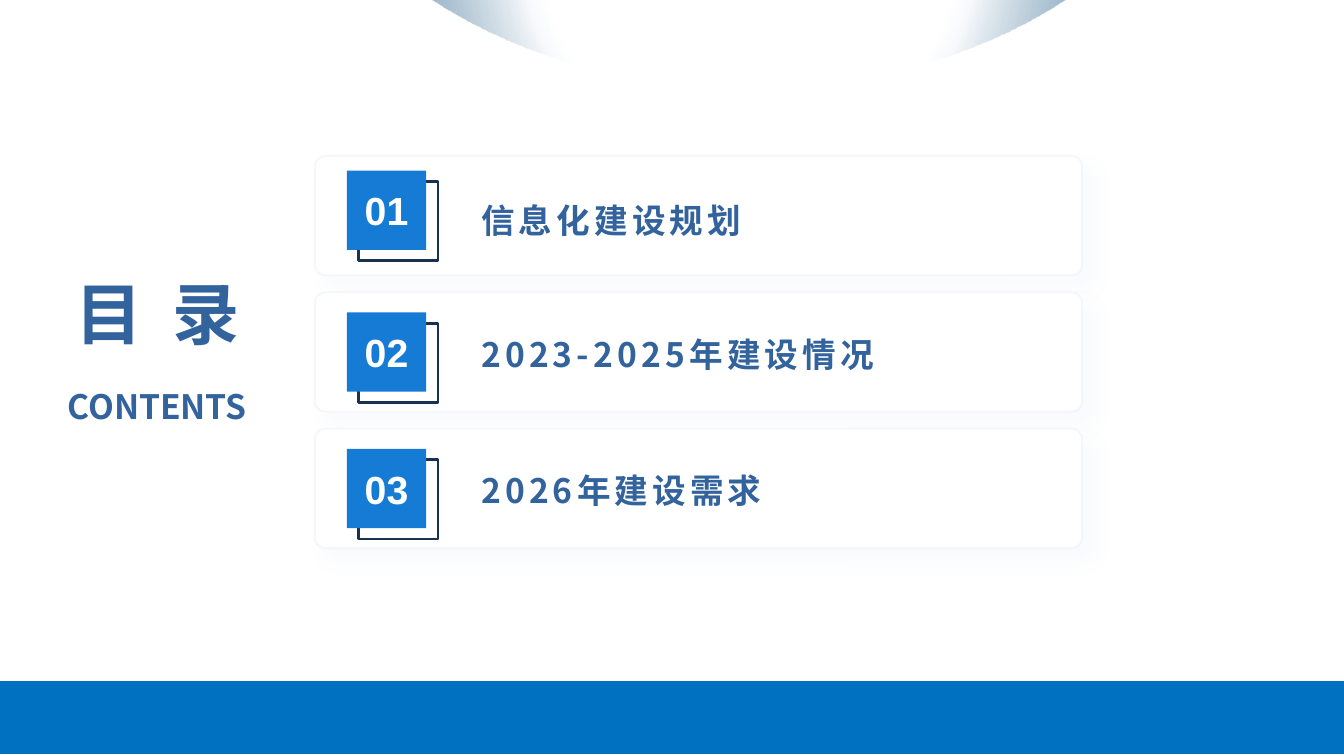
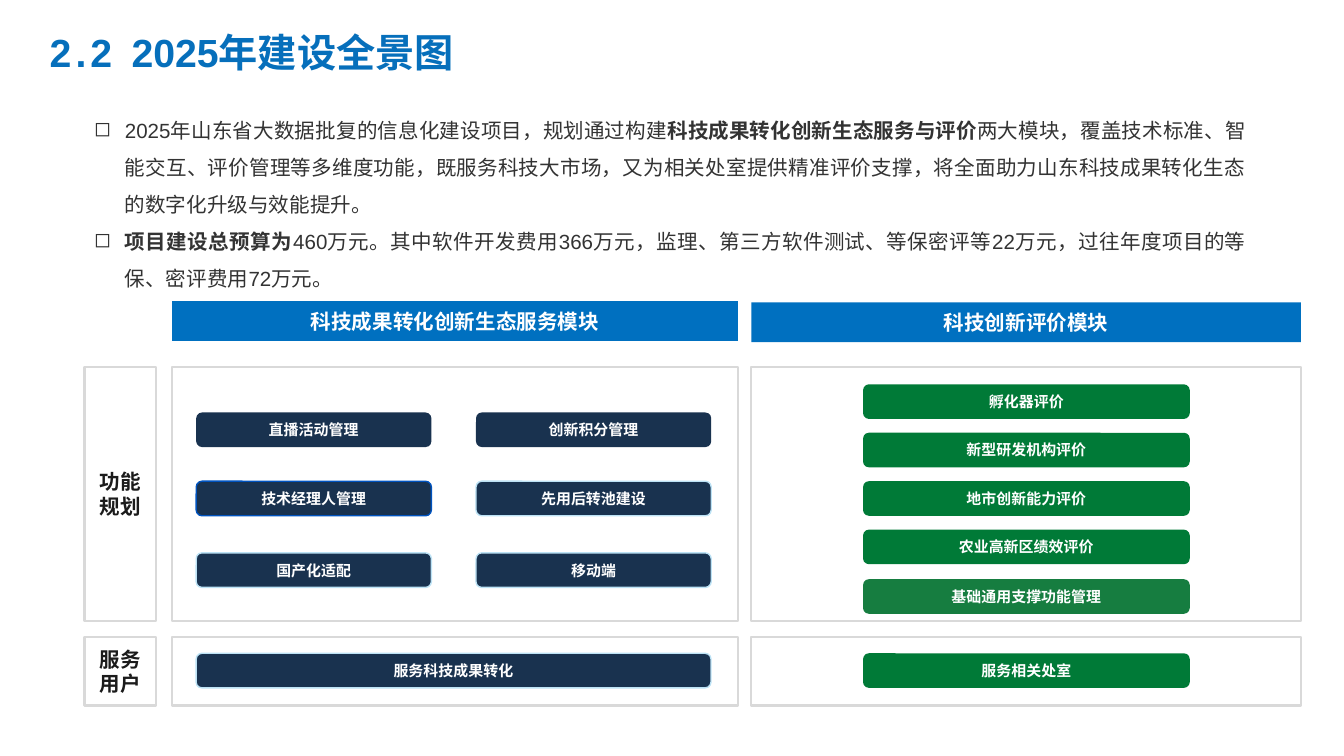
from lxml import etree
from pptx import Presentation
from pptx.dml.color import RGBColor
from pptx.enum.shapes import MSO_SHAPE as Preset
from pptx.enum.text import MSO_ANCHOR as Anchor, MSO_AUTO_SIZE as AutoSize, PP_ALIGN as Align
from pptx.oxml import parse_xml
from pptx.oxml.ns import nsdecls, qn
from pptx.util import Pt

# Shared look
rgb = RGBColor.from_string
HAN_FONT, LATIN_FONT = "Noto Sans CJK SC", "Arial"
WHITE, BAND, NAVY = "FFFFFF", "0070C0", "19324F"
HEADING, BADGE = "32639D", "167BD4"
GREEN, FRAME, PALE = "007A37", "D9D9D9", "BCE2F5"
NO_INSET, INSET = (0, 0), (7.2, 3.6)


def write(shape, paragraphs, size, color, font=LATIN_FONT, align=Align.CENTER,
          anchor=Anchor.MIDDLE, inset=NO_INSET, spacing=None, bullet=None):
    """Fill a shape with paragraphs, each a list of (text, bold, letter spacing)."""
    frame = shape.text_frame
    frame.word_wrap = True
    frame.auto_size = AutoSize.NONE
    frame.vertical_anchor = anchor
    frame.margin_left = frame.margin_right = Pt(inset[0])
    frame.margin_top = frame.margin_bottom = Pt(inset[1])
    for number, runs in enumerate(paragraphs):
        paragraph = frame.add_paragraph() if number else frame.paragraphs[0]
        if bullet:
            properties = paragraph._p.get_or_add_pPr()
            properties.set("marL", str(Pt(16.5)))
            properties.set("indent", str(-Pt(16.5)))
            etree.SubElement(properties, qn("a:buChar"), char=bullet)
        paragraph.alignment = align
        paragraph.space_before = Pt(0)
        if spacing:
            paragraph.line_spacing = spacing
        for text, bold, tracking in runs:
            run = paragraph.add_run()
            run.text = text
            run.font.size = Pt(size)
            run.font.bold = bold
            run.font.name = font
            run.font.color.rgb = rgb(color)
            properties = run._r.get_or_add_rPr()
            properties.set("spc", str(int(tracking * 100)))
            etree.SubElement(properties, qn("a:ea"), typeface=HAN_FONT)


def add_box(slide, preset, left, top, width, height, fill=None, line=None, weight=0.75):
    box = slide.shapes.add_shape(preset, Pt(left), Pt(top), Pt(width), Pt(height))
    box.shadow.inherit = False
    if fill:
        box.fill.solid()
        box.fill.fore_color.rgb = rgb(fill)
    else:
        box.fill.background()
    if line:
        box.line.color.rgb = rgb(line)
        box.line.width = Pt(weight)
    else:
        box.line.fill.background()
    return box


deck = Presentation()
deck.slide_width, deck.slide_height = Pt(720), Pt(405)
title_only = deck.slide_layouts[5]

# Slide 1: contents
contents = deck.slides.add_slide(title_only)
add_box(contents, Preset.RECTANGLE, -2.9, 365, 723.6, 38.9, BAND)

# Arc over the top edge: two layers of the same outline
curves = [((650.2, -100.8), (626.4, -16.6), (524.2, 46.8), (401, 46.8)),
          ((401, 46.8), (278.6, 46.8), (175.7, -16.6), (152.6, -100.8))]
outline = [(650.9, -103.7)]
for curve in curves:
    for step in range(25):
        t = step / 24
        weights = ((1 - t) ** 3, 3 * t * (1 - t) ** 2, 3 * t * t * (1 - t), t ** 3)
        outline.append(tuple(sum(w * point[axis] for w, point in zip(weights, curve))
                             for axis in (0, 1)))
for stops in ([(47, "376349", 0), (99, "376349", 86)],
              [(43, "94B9E5", 0), (97, "4F78C9", 100)]):
    builder = contents.shapes.build_freeform(Pt(151.9), Pt(-103.7))
    builder.add_line_segments([(Pt(x), Pt(y)) for x, y in outline], close=True)
    arc = builder.convert_to_shape()
    arc.shadow.inherit = False
    arc.line.fill.background()
    arc.fill.background()
    stop_xml = "".join(
        f'<a:gs pos="{place * 1000}"><a:srgbClr val="{color}">'
        f'<a:alpha val="{alpha * 1000}"/></a:srgbClr></a:gs>'
        for place, color, alpha in stops)
    no_fill = arc._element.spPr.find(qn("a:noFill"))
    no_fill.getparent().replace(no_fill, parse_xml(
        f'<a:gradFill {nsdecls("a")} rotWithShape="1"><a:gsLst>{stop_xml}</a:gsLst>'
        '<a:path path="circle"><a:fillToRect l="50000" t="50000" r="50000" b="50000"/>'
        '</a:path></a:gradFill>'))

# Heading
heading = contents.shapes.title
heading.left, heading.top, heading.width, heading.height = Pt(23.8), Pt(145.4), Pt(121), Pt(44)
write(heading, [[("目 ", True, 4), ("录", True, 0)]], 36, HEADING, HAN_FONT)
subheading = contents.shapes.add_textbox(Pt(24.5), Pt(206.6), Pt(119.5), Pt(21.6))
write(subheading, [[("CONTENTS", True, 0)]], 18, HEADING, HAN_FONT, anchor=Anchor.TOP)

# Chapter cards
chapters = [("信息化建设规划", 93.6, 91.4),
            ("2023-2025年建设情况", 165.6, 167.3),
            ("2026年建设需求", 238.5, 240.5)]
for number, (chapter, label_top, badge_top) in enumerate(chapters):
    card = add_box(contents, Preset.ROUNDED_RECTANGLE, 168.7, 83.5 + 73.1 * number,
                   411, 64, WHITE, "EAF1FA", 1)
    card.adjustments[0] = 0.09
    line_color = card.line._ln.find(".//" + qn("a:srgbClr"))
    etree.SubElement(line_color, qn("a:alpha"), val="50000")
    card._element.spPr.find(qn("a:effectLst")).append(parse_xml(
        f'<a:outerShdw {nsdecls("a")} blurRad="{Pt(9)}" dist="{Pt(9)}" dir="2700000" '
        'algn="tl" rotWithShape="0"><a:srgbClr val="94B9E5"><a:alpha val="5000"/>'
        '</a:srgbClr></a:outerShdw>'))
    label = contents.shapes.add_textbox(Pt(257.8), Pt(label_top), Pt(315), Pt(48.2))
    write(label, [[(chapter, True, 2.2)]], 18, HEADING, HAN_FONT, Align.LEFT)
    add_box(contents, Preset.RECTANGLE, 192.2, badge_top + 5.8, 42.5, 42.5, None, NAVY, 1.5)
    badge = add_box(contents, Preset.RECTANGLE, 185.8, badge_top, 42.5, 42.5, BADGE)
    write(badge, [[(f"{number + 1:02}", True, 0)]], 21, WHITE, inset=INSET)

# Slide 2: overview of 2025
overview = deck.slides.add_slide(title_only)
title = overview.shapes.title
title.left, title.top, title.width, title.height = Pt(21.6), Pt(15.1), Pt(550), Pt(25.2)
write(title, [[("2.2 ", True, 2.2), ("2025年建设全景图", True, 0)]], 21, "066FBB",
      align=Align.LEFT, anchor=Anchor.TOP, inset=(5, 2.9), spacing=0.9)

# Summary
summary = overview.shapes.add_textbox(Pt(45.4), Pt(54), Pt(627), Pt(105))
write(summary, [
    [("2025年山东省大数据批复的信息化建设项目，规划通过构建", False, 0),
     ("科技成果转化创新生态服务与评价", True, 0),
     ("两大模块，覆盖技术标准、智能交互、评价管理等多维度功能，既服务科技大市场，"
      "又为相关处室提供精准评价支撑，将全面助力山东科技成果转化生态的数字化升级与效能提升。",
      False, 0)],
    [("项目建设总预算为", True, 0),
     ("460万元。其中软件开发费用366万元，监理、第三方软件测试、等保密评等22万元，"
      "过往年度项目的等保、密评费用72万元。", False, 0)],
], 11, "333333", align=Align.JUSTIFY, anchor=Anchor.TOP, inset=(5, 2.9), spacing=1.5, bullet="◻")

# Module headers, row labels and frames
modules = [("科技成果转化创新生态服务模块", 92.2, 303.2, 161.3),
           ("科技创新评价模块", 402.5, 294.5, 162)]
rows = [(("功能", "规划"), 196.6, 136.1), (("服务", "用户"), 341.3, 36.7)]
for module, left, width, top in modules:
    header = add_box(overview, Preset.RECTANGLE, left, top, width, 21.3, BAND)
    write(header, [[(module, True, 0)]], 11, WHITE, inset=(5, 2.9))
for words, top, height in rows:
    row_label = add_box(overview, Preset.RECTANGLE, 45.2, top, 38.4, height, WHITE, FRAME, 1.25)
    write(row_label, [[(word, True, 0)] for word in words], 11, "1B1B1B", inset=INSET)
    for module, left, width, header_top in modules:
        add_box(overview, Preset.RECTANGLE, left, top, width, height, WHITE, FRAME, 1.25)

# Functions and users: text, left, top, width, fill, line
LEFT, RIGHT, EVALUATION = 105.1, 255, 462.4
HALF, FULL, GREEN_WIDTH = 126, 275.8, 175
items = [("直播活动管理", LEFT, 221, HALF, NAVY, None),
         ("创新积分管理", RIGHT, 221, HALF, NAVY, None),
         ("技术经理人管理", LEFT, 257.8, HALF, NAVY, "0053BF"),
         ("先用后转池建设", RIGHT, 257.8, HALF, NAVY, PALE),
         ("国产化适配", LEFT, 296.2, HALF, NAVY, PALE),
         ("移动端", RIGHT, 296.2, HALF, NAVY, PALE),
         ("服务科技成果转化", LEFT, 350, FULL, NAVY, PALE),
         ("基础通用支撑功能管理", EVALUATION, 310.3, GREEN_WIDTH, "167D40", None),
         ("服务相关处室", EVALUATION, 350, GREEN_WIDTH, GREEN, None)]
evaluations = ["孵化器评价", "新型研发机构评价", "地市创新能力评价", "农业高新区绩效评价"]
items += [(evaluation, EVALUATION, 205.9 + 25.95 * number, GREEN_WIDTH, GREEN, None)
          for number, evaluation in enumerate(evaluations)]
for text, left, top, width, fill, line in items:
    pill = add_box(overview, Preset.ROUNDED_RECTANGLE, left, top, width, 18.5, fill, line)
    write(pill, [[(text, True, 0)]], 8, WHITE)

deck.save("out.pptx")
